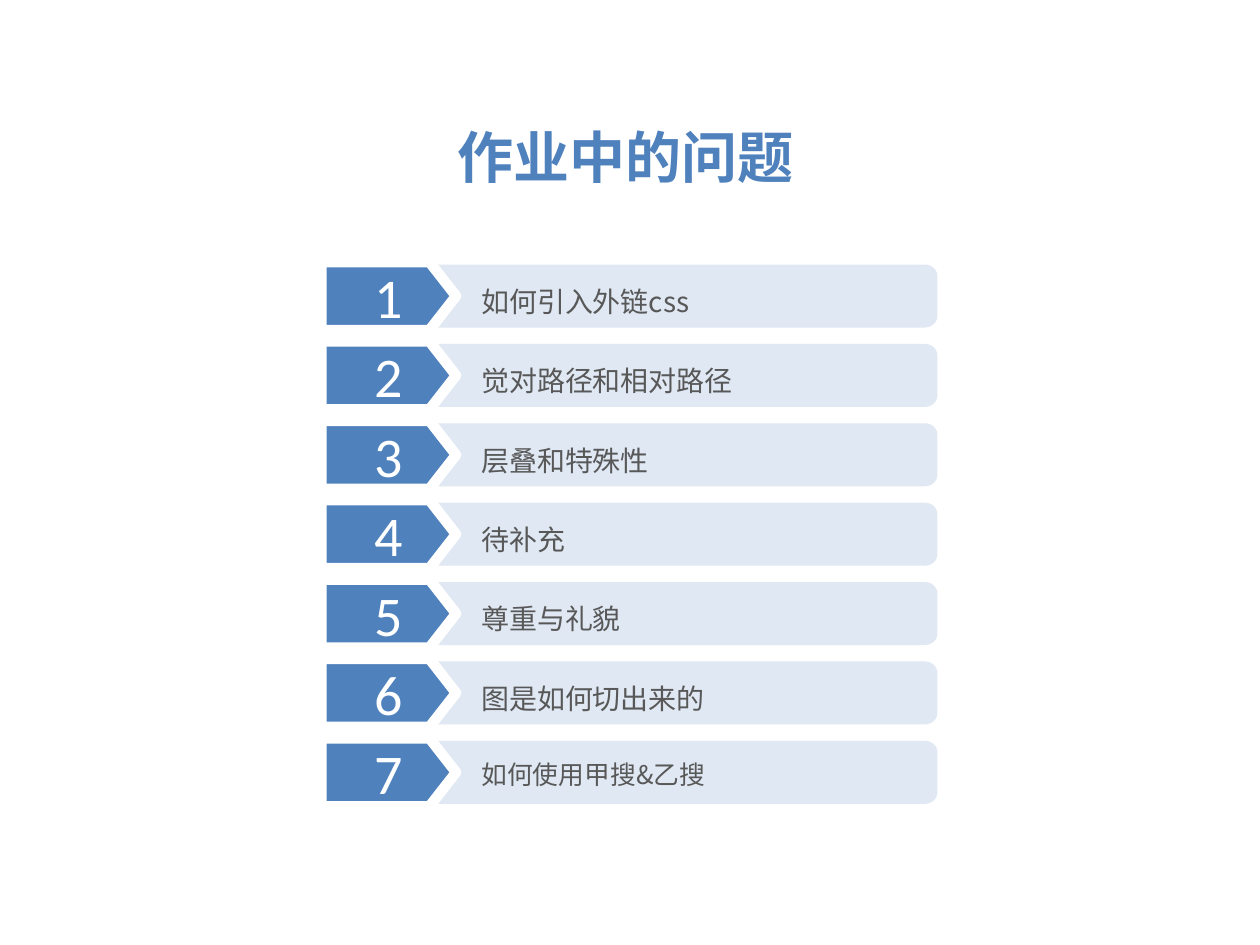
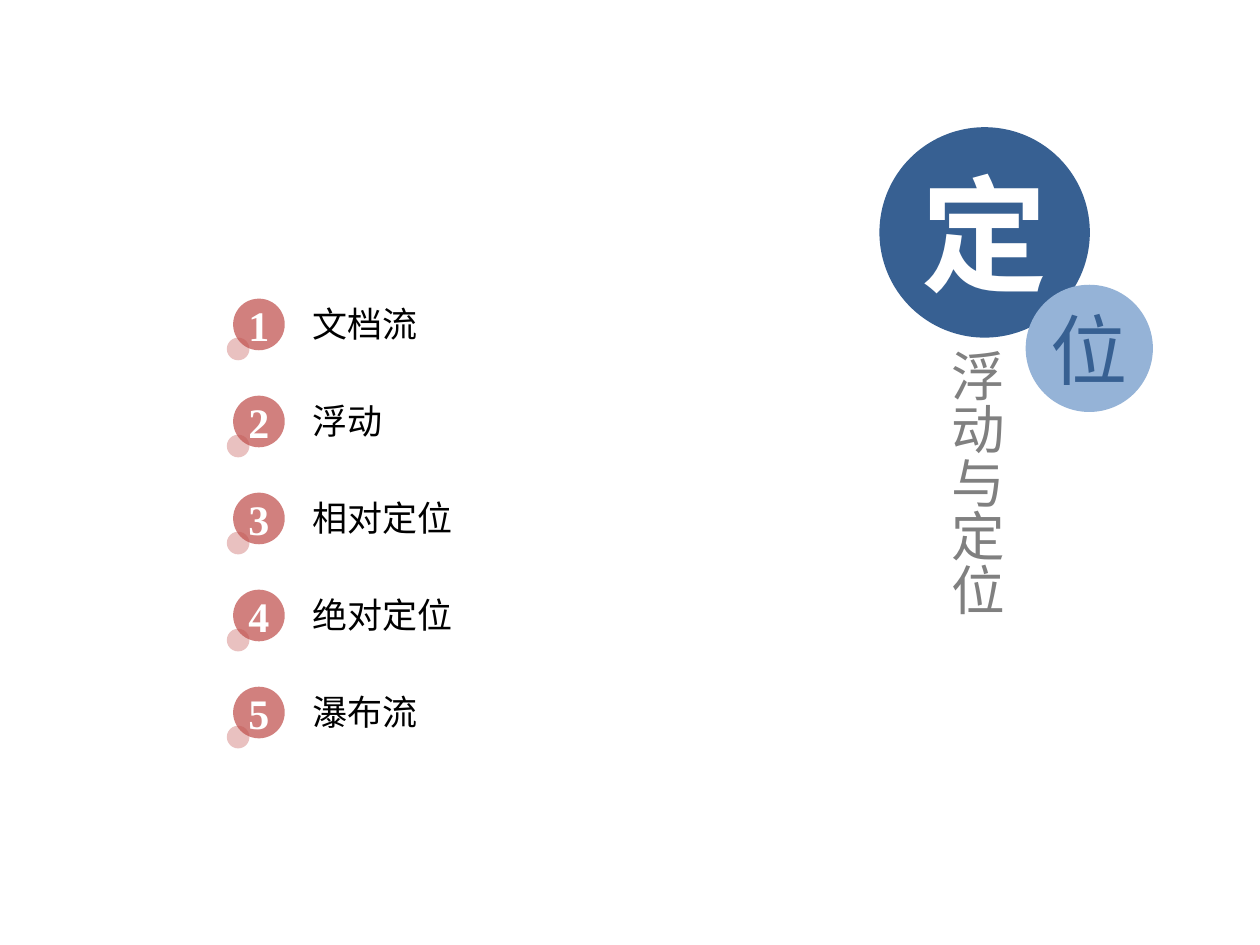
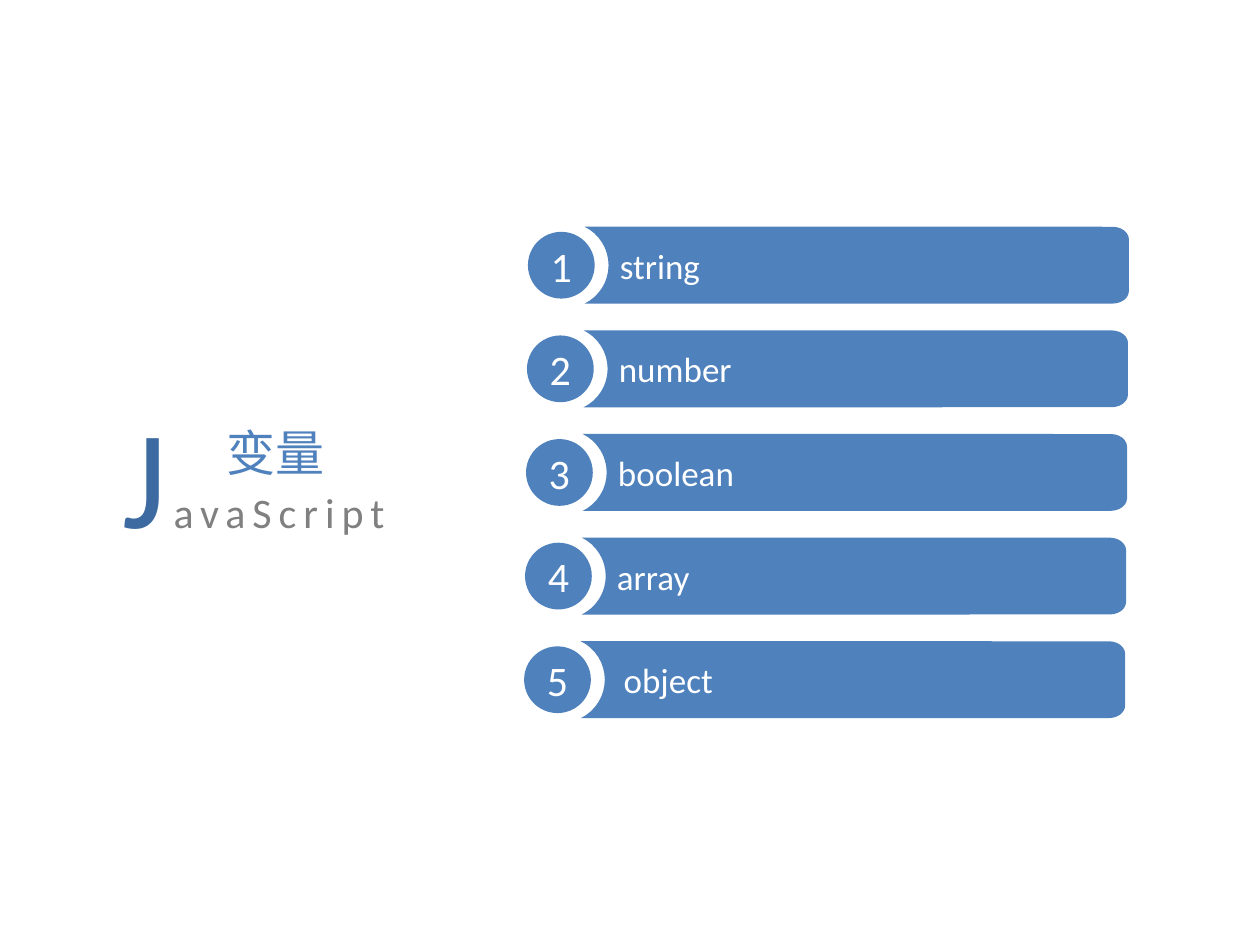
import math

import pptx
import pptx.dml.color
import pptx.enum.shapes
import pptx.enum.text
import pptx.oxml.ns
import pptx.util
from lxml import etree

Inches = pptx.util.Inches
RGBColor = pptx.dml.color.RGBColor
SHAPE = pptx.enum.shapes.MSO_SHAPE
ALIGN = pptx.enum.text.PP_ALIGN
ANCHOR = pptx.enum.text.MSO_ANCHOR
qn = pptx.oxml.ns.qn

BLUE = RGBColor(0x4F, 0x81, 0xBD)
DARK_BLUE = RGBColor(0x37, 0x60, 0x92)
INITIAL_BLUE = RGBColor(0x3D, 0x6A, 0xA1)
LIGHT_BLUE = RGBColor(0x95, 0xB3, 0xD7)
PALE_BLUE = RGBColor(0xDC, 0xE6, 0xF2)
RED = RGBColor(0xC0, 0x50, 0x4D)
GRAY = RGBColor(0x80, 0x80, 0x80)
DARK_GRAY = RGBColor(0x58, 0x58, 0x58)
WHITE = RGBColor(0xFF, 0xFF, 0xFF)
BLACK = RGBColor(0, 0, 0)

CJK = "Noto Sans CJK SC"
LATIN = "Calibri"
SERIF = "Times New Roman"
NO_INSET = (0, 0, 0, 0)

# Quarter circle of radius 1, from the top edge round to the right edge
CORNER = [(math.sin(math.radians(a)), 1 - math.cos(math.radians(a)))
          for a in range(0, 91, 15)]


def put_text(sp, text, size, color, font=CJK, bold=False, align=ALIGN.LEFT,
             inset=(0.1, 0.05, 0.1, 0.05), wrap=True, line_spacing=None, tracking=0):
    """Append a formatted run to the first paragraph of a shape."""
    tf = sp.text_frame
    tf.auto_size = pptx.enum.text.MSO_AUTO_SIZE.NONE
    tf.word_wrap = wrap
    tf.vertical_anchor = ANCHOR.MIDDLE
    tf.margin_left, tf.margin_top, tf.margin_right, tf.margin_bottom = map(Inches, inset)
    p = tf.paragraphs[0]
    p.alignment = align
    p.line_spacing = line_spacing
    r = p.add_run()
    r.text = text
    r.font.size = pptx.util.Pt(size)
    r.font.bold = bold
    r.font.color.rgb = color
    r.font.name = font
    rPr = r._r.get_or_add_rPr()
    etree.SubElement(rPr, qn("a:ea"), typeface=font)
    if tracking:
        rPr.set("spc", str(tracking * 100))


def paint(sp, color, opacity=100, outline=None):
    sp.shadow.inherit = False
    sp.fill.solid()
    sp.fill.fore_color.rgb = color
    if opacity < 100:
        clr = sp.fill._xPr.find(qn("a:solidFill"))[0]
        etree.SubElement(clr, qn("a:alpha"), val=str(opacity * 1000))
    if outline is None:
        sp.line.fill.background()
    else:
        sp.line.color.rgb = outline
        sp.line.width = pptx.util.Pt(6)


prs = pptx.Presentation()
prs.slide_width, prs.slide_height = Inches(10), Inches(7.5)

slides = []
for left, top, width, height in [(3.43, 0.92, 3.07, 0.64),
                                 (7.41, 2.77, 0.67, 3),
                                 (1.7, 3.34, 2.01, 0.49)]:
    s = prs.slides.add_slide(prs.slide_layouts[5])
    title = s.shapes.title
    title.left, title.top = Inches(left), Inches(top)
    title.width, title.height = Inches(width), Inches(height)
    slides.append(s)

# Slide 1: homework problems
s = slides[0]
put_text(s.shapes.title, "作业中的问题", 32, BLUE, bold=True, align=ALIGN.CENTER)
problems = ["如何引入外链css", "觉对路径和相对路径", "层叠和特殊性", "待补充",
            "尊重与礼貌", "图是如何切出来的", "如何使用甲搜&乙搜"]
for i, problem in enumerate(problems):
    top = 2.1 + 0.63 * i
    upper = [(7.34 + 0.1 * x, top + 0.09 * y) for x, y in CORNER]
    lower = [(x, 2 * top + 0.5 - y) for x, y in reversed(upper)]
    outline = [(Inches(x), Inches(y))
               for x, y in [(3.43, top), *upper, *lower, (3.43, top + 0.5)]]
    fb = s.shapes.build_freeform(*outline[0])
    fb.add_line_segments(outline[1:])
    sp = fb.convert_to_shape()
    paint(sp, PALE_BLUE, opacity=90)
    last = i == len(problems) - 1
    put_text(sp, problem, 14.7 if last else 16, DARK_GRAY, inset=(0.39, 0, 0, 0),
             line_spacing=1.1 if last else 1.3)

    sp = s.shapes.add_shape(SHAPE.PENTAGON, Inches(2.55), Inches(top - 0.02),
                            Inches(1.07), Inches(0.54))
    sp.adjustments[0] = 0.39
    paint(sp, BLUE, outline=WHITE)
    put_text(sp, str(i + 1), 32, WHITE, font=LATIN, align=ALIGN.CENTER,
             inset=(0.2, 0.05, 0.1, 0.05))

# Slide 2: floats and positioning
s = slides[1]
title = s.shapes.title
put_text(title, "浮动与定位", 30.6, GRAY, inset=NO_INSET)
title.text_frame._txBody.bodyPr.set("vert", "eaVert")
for i, topic in enumerate(["文档流", "浮动", "相对定位", "绝对定位", "瀑布流"]):
    top = 2.37 + 0.77 * i
    sp = s.shapes.add_shape(SHAPE.OVAL, Inches(1.85), Inches(top), Inches(0.41), Inches(0.41))
    paint(sp, RED, opacity=72)
    put_text(sp, str(i + 1), 24, WHITE, font=SERIF, bold=True, align=ALIGN.CENTER, wrap=False)
    sp = s.shapes.add_shape(SHAPE.OVAL, Inches(1.8), Inches(top + 0.31),
                            Inches(0.18), Inches(0.18))
    paint(sp, RED, opacity=35)
    sp = s.shapes.add_textbox(Inches(2.48), Inches(top - 0.04), Inches(3.55), Inches(0.48))
    put_text(sp, topic, 20, BLACK, inset=NO_INSET)

for char, left, top, diameter, fill, size, color, bold in [
        ("定", 6.98, 1.01, 1.67, DARK_BLUE, 72, WHITE, True),
        ("位", 8.14, 2.26, 1.01, LIGHT_BLUE, 44, DARK_BLUE, False)]:
    sp = s.shapes.add_shape(SHAPE.OVAL, Inches(left), Inches(top),
                            Inches(diameter), Inches(diameter))
    paint(sp, fill)
    put_text(sp, char, size, color, bold=bold, align=ALIGN.CENTER, inset=NO_INSET)

# Slide 3: JavaScript variables
s = slides[2]
put_text(s.shapes.title, "变量", 28, BLUE)
sp = s.shapes.add_textbox(Inches(0.87), Inches(3.17), Inches(4.88), Inches(1.16))
put_text(sp, "J", 80, INITIAL_BLUE, font=LATIN, tracking=4)
put_text(sp, "avaScript", 24, GRAY, font=LATIN, tracking=4)

data_types = ["string", "number", "boolean", "array", "object"]
for i, data_type in enumerate(data_types):
    # The rows drift slightly to the left on their way down
    share = i / (len(data_types) - 1)
    left, top = 4.19 - 0.03 * share, 1.8 + 3.29 * share
    middle = top + 0.305
    upper = [(left + 4.64 + 0.13 * x, top + 0.1 * y) for x, y in CORNER]
    lower = [(x, 2 * middle - y) for x, y in reversed(upper)]
    notch = [(left + 0.3 + 0.34 * math.cos(math.radians(a)),
              middle + 0.34 * math.sin(math.radians(a))) for a in range(64, -65, -8)]
    outline = [(Inches(x), Inches(y)) for x, y in [*upper, *lower, *notch]]
    fb = s.shapes.build_freeform(*outline[0])
    fb.add_line_segments(outline[1:])
    sp = fb.convert_to_shape()
    paint(sp, BLUE)
    indent = 0.34 if data_type == "object" else 0.28
    put_text(sp, data_type, 20, WHITE, font=LATIN, inset=(indent, 0.04, 0.04, 0.04))

    sp = s.shapes.add_shape(SHAPE.OVAL, Inches(left), Inches(top + 0.04),
                            Inches(0.53), Inches(0.53))
    paint(sp, BLUE)
    put_text(sp, str(i + 1), 24, WHITE, font=LATIN, align=ALIGN.CENTER)

prs.save("out.pptx")
